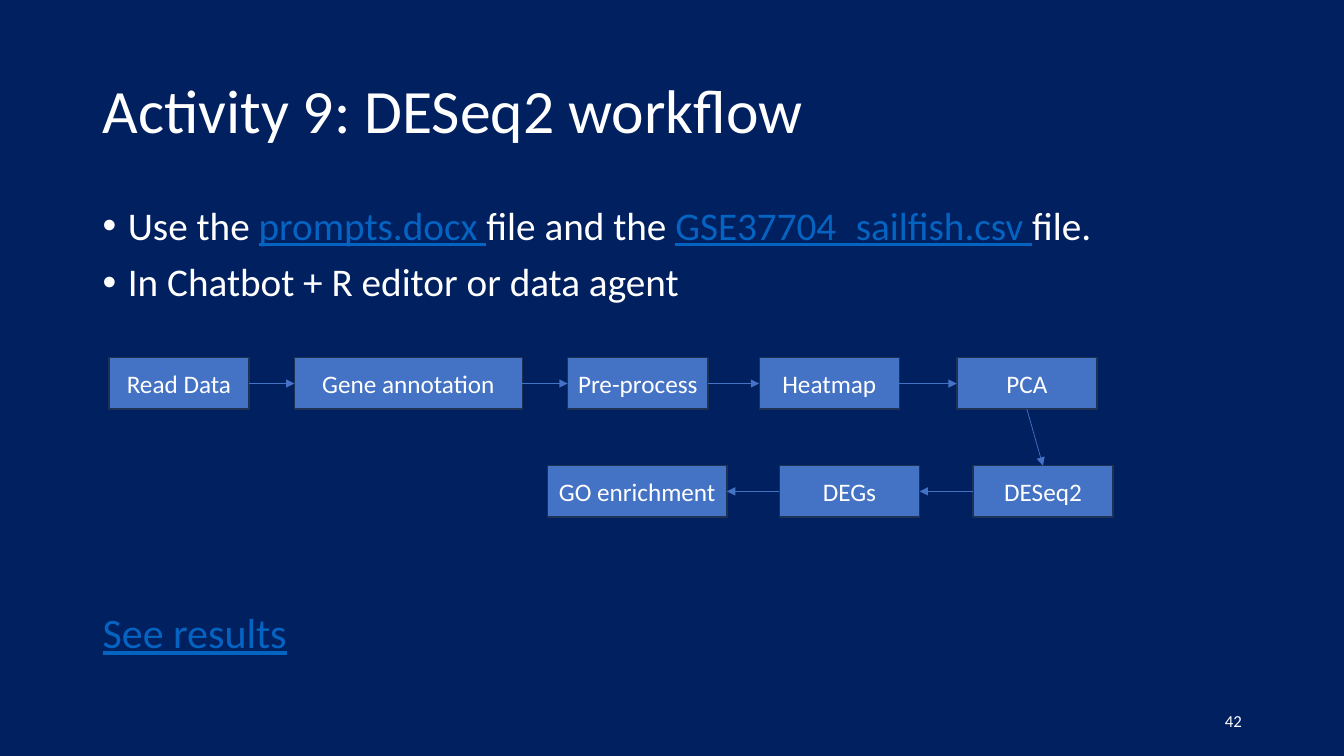
import pptx
import pptx.dml.color
import pptx.enum.shapes
import pptx.enum.text
import pptx.oxml.ns
import pptx.util
from lxml import etree

NAVY = pptx.dml.color.RGBColor(0x00, 0x20, 0x60)
WHITE = pptx.dml.color.RGBColor(0xFF, 0xFF, 0xFF)
BLUE = pptx.dml.color.RGBColor(0x44, 0x72, 0xC4)
EDGE = pptx.dml.color.RGBColor(0x1E, 0x32, 0x56)
LINK = pptx.dml.color.RGBColor(0x05, 0x63, 0xC1)

WIDTH, HEIGHT = pptx.util.Inches(13.33), pptx.util.Inches(7.5)
MARGIN, CONTENT = 6.9, 86.25
STEP_W, STEP_H = 10.43, 6.8
TOP, LEFT, BOTTOM, RIGHT = range(4)
ANCHOR = pptx.enum.text.MSO_ANCHOR
ALIGN = pptx.enum.text.PP_ALIGN

FORWARD = [("Read Data", 8.1, STEP_W), ("Gene annotation", 21.91, 16.95),
           ("Pre-process", 42.24, STEP_W), ("Heatmap", 56.49, STEP_W),
           ("PCA", 71.19, STEP_W)]
BACKWARD = [("DESeq2", 72.39, STEP_W), ("DEGs", 57.99, STEP_W),
            ("GO enrichment", 40.74, 13.35)]


def area(x, y, w, h):
    """Turn percentages of the slide into lengths."""
    return [round(size * share / 100) for size, share in
            ((WIDTH, x), (HEIGHT, y), (WIDTH, w), (HEIGHT, h))]


def add_run(p, text, size=28, color=WHITE, underline=None):
    """Append formatted text to a paragraph."""
    r = p.add_run()
    r.text = text
    r.font.name, r.font.size = "Calibri", pptx.util.Pt(size)
    r.font.color.rgb, r.font.underline = color, underline


def add_box(s, x, y, w, h, anchor=ANCHOR.TOP):
    """Add a wrapping text box and return its text frame."""
    tf = s.shapes.add_textbox(*area(x, y, w, h)).text_frame
    tf.word_wrap, tf.vertical_anchor = True, anchor
    return tf


def add_bullets(tf, items):
    """Fill a text frame with bulleted paragraphs of (text, is_link) parts."""
    for i, parts in enumerate(items):
        p = tf.add_paragraph() if i else tf.paragraphs[0]
        pPr = p._p.get_or_add_pPr()
        pPr.set("marL", str(pptx.util.Inches(0.25)))
        pPr.set("indent", str(-pptx.util.Inches(0.25)))
        font = etree.SubElement(pPr, pptx.oxml.ns.qn("a:buFont"))
        font.set("typeface", "Arial")
        etree.SubElement(pPr, pptx.oxml.ns.qn("a:buChar")).set("char", "•")
        p.line_spacing = 0.9
        p.space_before = pptx.util.Pt(10 if i else 0)
        for text, is_link in parts:
            add_run(p, text, color=LINK if is_link else WHITE,
                    underline=is_link or None)


def add_step(s, text, x, y, w):
    """Add one workflow step."""
    sp = s.shapes.add_shape(pptx.enum.shapes.MSO_SHAPE.RECTANGLE,
                            *area(x, y, w, STEP_H))
    sp.shadow.inherit = False
    sp.fill.solid()
    sp.fill.fore_color.rgb = BLUE
    sp.line.color.rgb, sp.line.width = EDGE, pptx.util.Pt(1)
    tf = sp.text_frame
    tf.word_wrap, tf.vertical_anchor = False, ANCHOR.MIDDLE
    p = tf.paragraphs[0]
    p.alignment = ALIGN.CENTER
    add_run(p, text, size=18)
    return sp


def add_arrow(s, start, start_side, end, end_side):
    """Join two steps with an arrow."""
    c = s.shapes.add_connector(pptx.enum.shapes.MSO_CONNECTOR.STRAIGHT, 0, 0, 0, 0)
    c.begin_connect(start, start_side)
    c.end_connect(end, end_side)
    c.line.color.rgb, c.line.width = BLUE, pptx.util.Pt(0.5)
    tail = etree.SubElement(c.line._get_or_add_ln(), pptx.oxml.ns.qn("a:tailEnd"))
    tail.set("type", "triangle")
    etree.SubElement(c._element.spPr, pptx.oxml.ns.qn("a:effectLst"))


def add_row(s, steps, y, exit_side, entry_side):
    """Add a row of steps joined in order and return them."""
    row = [add_step(s, text, x, y, w) for text, x, w in steps]
    for start, end in zip(row, row[1:]):
        add_arrow(s, start, exit_side, end, entry_side)
    return row


def main():
    """Build the slide."""
    prs = pptx.Presentation()
    prs.slide_width, prs.slide_height = WIDTH, HEIGHT
    s = prs.slides.add_slide(prs.slide_layouts[6])
    s.background.fill.solid()
    s.background.fill.fore_color.rgb = NAVY

    p = add_box(s, MARGIN, 5.33, CONTENT, 19.33, ANCHOR.MIDDLE).paragraphs[0]
    p.line_spacing = 0.9
    add_run(p, "Activity 9: DESeq2 workflow", size=44)

    add_bullets(add_box(s, MARGIN, 26.67, CONTENT, 63.47), [
        [("Use the ", False), ("prompts.docx ", True), ("file and the ", False),
         ("GSE37704_sailfish.csv ", True), ("file.", False)],
        [("In Chatbot + R editor or data agent", False)]])

    forward = add_row(s, FORWARD, 47.33, RIGHT, LEFT)
    backward = add_row(s, BACKWARD, 61.6, LEFT, RIGHT)
    add_arrow(s, forward[-1], BOTTOM, backward[0], TOP)

    p = add_box(s, MARGIN, 79.6, 17.63, 8.13).paragraphs[0]
    add_run(p, "See results", size=30, color=LINK, underline=True)

    p = add_box(s, 70.65, 92.67, 22.5, 5.33, ANCHOR.MIDDLE).paragraphs[0]
    p.alignment = ALIGN.RIGHT
    add_run(p, "42", size=12)
    prs.save("out.pptx")


if __name__ == "__main__":
    main()
